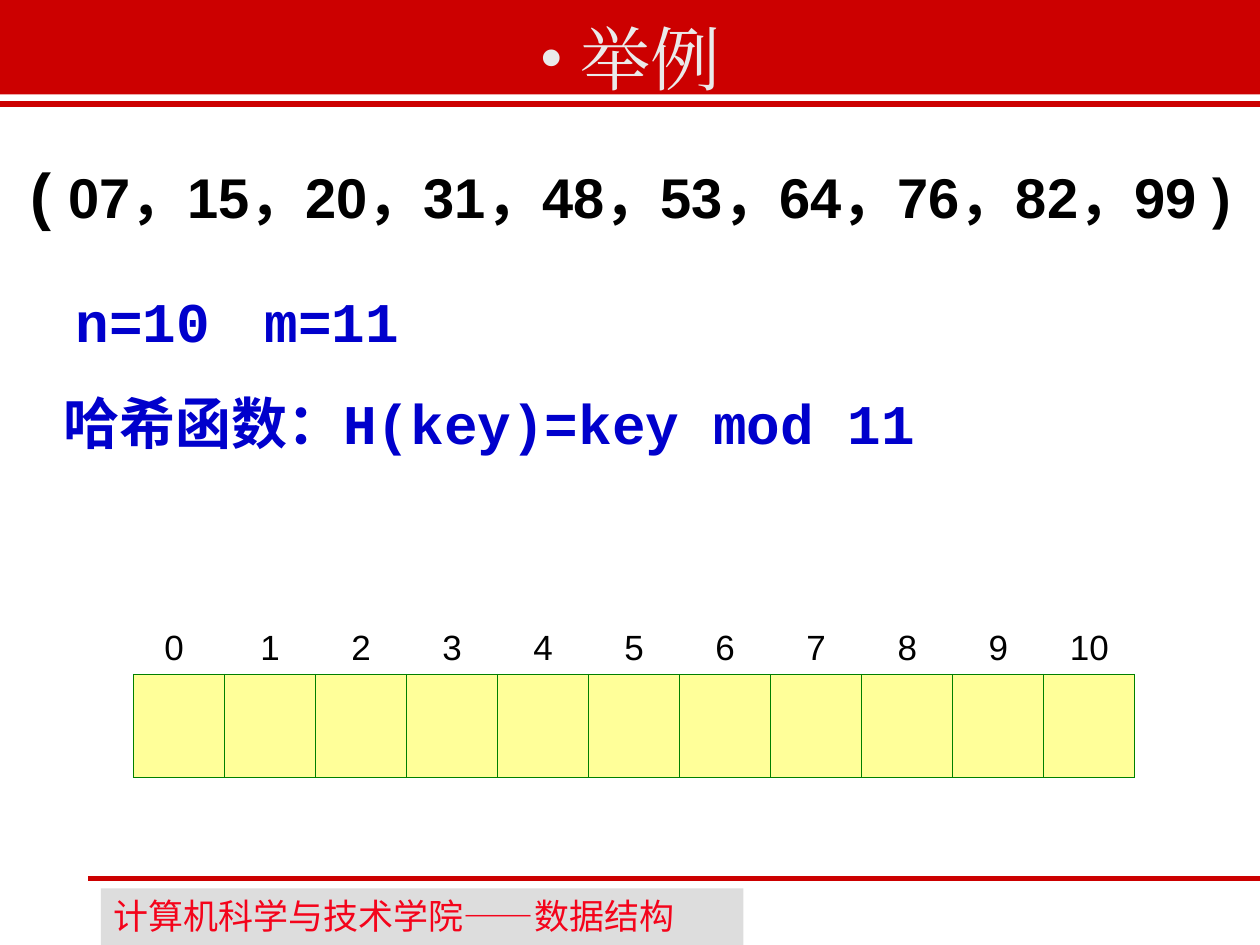
from dataclasses import dataclass

from lxml import etree
from pptx import Presentation
from pptx.dml.color import RGBColor
from pptx.enum.shapes import MSO_CONNECTOR, MSO_SHAPE
from pptx.enum.text import MSO_ANCHOR, MSO_AUTO_SIZE, PP_ALIGN
from pptx.oxml.ns import qn
from pptx.util import Inches, Pt

RECT, LINE = MSO_SHAPE.RECTANGLE, MSO_CONNECTOR.STRAIGHT
LEFT, CENTER = PP_ALIGN.LEFT, PP_ALIGN.CENTER
TOP, BOTTOM = MSO_ANCHOR.TOP, MSO_ANCHOR.BOTTOM
FIXED = MSO_AUTO_SIZE.NONE
WIDE, HIGH = Inches(10), Inches(7.5)
RED, BLUE, BLACK, PALE = "CC0000", "0000CC", "000000", "EAEAEA"
GREEN, CREAM, GRAY, ROSE = "008000", "FFFF99", "DDDDDD", "F4041B"
SANS, MONO, SERIF, HAN = "Arial", "Courier New", "Times New Roman", "Noto Sans CJK SC"


@dataclass
class Box:
    x: float
    y: float
    w: float
    h: float

    def spans(self) -> tuple:
        return (int(self.x * WIDE), int(self.y * HIGH),
                int(self.w * WIDE), int(self.h * HIGH))


@dataclass
class Run:
    text: str
    size: float
    face: str
    color: str
    bold: bool = False


@dataclass
class Para:
    runs: list
    form: dict
    tabs: tuple = ()
    indent: float = 0
    bullet: str = ""


def shade(code: str) -> RGBColor:
    return RGBColor.from_string(code)


def apply(item, form: dict) -> None:
    for name, value in form.items():
        setattr(item, name, value)


def node(parent, tag: str, **attrs):
    return etree.SubElement(parent, qn(tag), **attrs)


def write_para(para, data: Para) -> None:
    props = para._p.get_or_add_pPr()
    props.set("marL", str(Inches(data.indent)))
    props.set("indent", "0")
    if data.bullet:
        node(node(props, "a:buClr"), "a:srgbClr", val=data.runs[0].color)
        node(props, "a:buFont", typeface=data.runs[0].face)
        node(props, "a:buChar", char=data.bullet)
    else:
        node(props, "a:buNone")
    if data.tabs:
        stops = node(props, "a:tabLst")
        for stop in data.tabs:
            node(stops, "a:tab", pos=str(Inches(stop)), algn="l")
    apply(para, data.form)
    for part in data.runs:
        run = para.add_run()
        run.text = part.text
        apply(run.font, {"size": Pt(part.size), "name": part.face, "bold": part.bold})
        run.font.color.rgb = shade(part.color)
        node(run._r.get_or_add_rPr(), "a:ea", typeface=part.face)


def write(frame, paras: list, anchor=TOP) -> None:
    apply(frame, {"word_wrap": True, "auto_size": FIXED, "vertical_anchor": anchor})
    for i, data in enumerate(paras):
        write_para(frame.add_paragraph() if i else frame.paragraphs[0], data)


def place(slide, shape, box: Box, paras: list) -> None:
    apply(shape, dict(zip(("left", "top", "width", "height"), box.spans())))
    slide.shapes._spTree.append(shape._element)
    write(shape.text_frame, paras)


def add_block(slide, box: Box, color: str):
    block = slide.shapes.add_shape(RECT, *box.spans())
    block.shadow.inherit = False
    block.fill.solid()
    block.fill.fore_color.rgb = shade(color)
    block.line.fill.background()
    return block


def add_rule(slide, x: float, y: float, end: float) -> None:
    rule = slide.shapes.add_connector(
        LINE, int(x * WIDE), int(y * HIGH), WIDE, int(end * HIGH))
    rule.line.color.rgb = shade(RED)
    rule.line.width = Pt(3)
    node(rule._element.spPr, "a:effectLst")


def edge(cell, sides: str) -> None:
    props = cell._tc.get_or_add_tcPr()
    for i, side in enumerate("LRTB"):
        line = etree.Element(qn("a:ln" + side), w=str(Pt(0.75)))
        if side in sides:
            node(node(line, "a:solidFill"), "a:srgbClr", val=GREEN)
        else:
            node(line, "a:noFill")
        props.insert(i, line)


def add_slots(slide, box: Box, names: list) -> None:
    table = slide.shapes.add_table(2, len(names), *box.spans()).table
    apply(table, {"first_row": False, "horz_banding": False})
    table.rows[0].height, table.rows[1].height = Inches(0.74), Inches(0.82)
    for i, name in enumerate(names):
        head, slot = table.cell(0, i), table.cell(1, i)
        head.fill.background()
        slot.fill.solid()
        slot.fill.fore_color.rgb = shade(CREAM)
        edge(head, "B")
        edge(slot, "LRTB")
        head.vertical_anchor = BOTTOM
        write_para(head.text_frame.paragraphs[0],
                   Para([Run(name, 20, SANS, BLACK)], {"alignment": CENTER}))


def main() -> None:
    deck = Presentation()
    apply(deck, {"slide_width": WIDE, "slide_height": HIGH})
    slide = deck.slides.add_slide(deck.slide_layouts[1])
    title, body = slide.placeholders

    add_block(slide, Box(0, 0, 1, 0.1), RED)
    foot = add_block(slide, Box(0.08, 0.94, 0.51, 0.06), GRAY)
    write(foot.text_frame, [Para([
        Run("计算机科学与技术学院", 20, SANS, ROSE),
        Run("——", 20, HAN, ROSE),
        Run("数据结构", 20, SANS, ROSE)], {"alignment": LEFT})])
    add_rule(slide, 0.07, 0.93, 0.93)
    add_rule(slide, 0, 0.11, 0.11)

    place(slide, body, Box(0, 0.15, 1, 0.46), [
        Para([Run(" ( ", 36, SANS, BLACK, True),
              Run("07，15，20，31，48，53，64，76，82，99 )", 32, SANS, BLACK, True)],
             {"line_spacing": 1.1, "space_before": Pt(0)}),
        Para([Run("\tn=10\tm=11", 32, MONO, BLUE, True)],
             {"line_spacing": 1.3, "space_before": Pt(20)}, tabs=(2, 5)),
        Para([Run("哈希函数：H(key)=key mod 11", 32, MONO, BLUE, True)],
             {"line_spacing": 1.0, "space_before": Pt(20)}, indent=0.4),
    ])
    add_slots(slide, Box(0.106, 0.615, 0.795, 0.208),
              ["0 "] + [str(n) for n in range(1, 11)])
    place(slide, title, Box(0.13, 0.01, 0.74, 0.1), [
        Para([Run(" 举例", 40, SERIF, PALE)], {"alignment": CENTER}, bullet="•")])
    deck.save("out.pptx")


if __name__ == "__main__":
    main()
